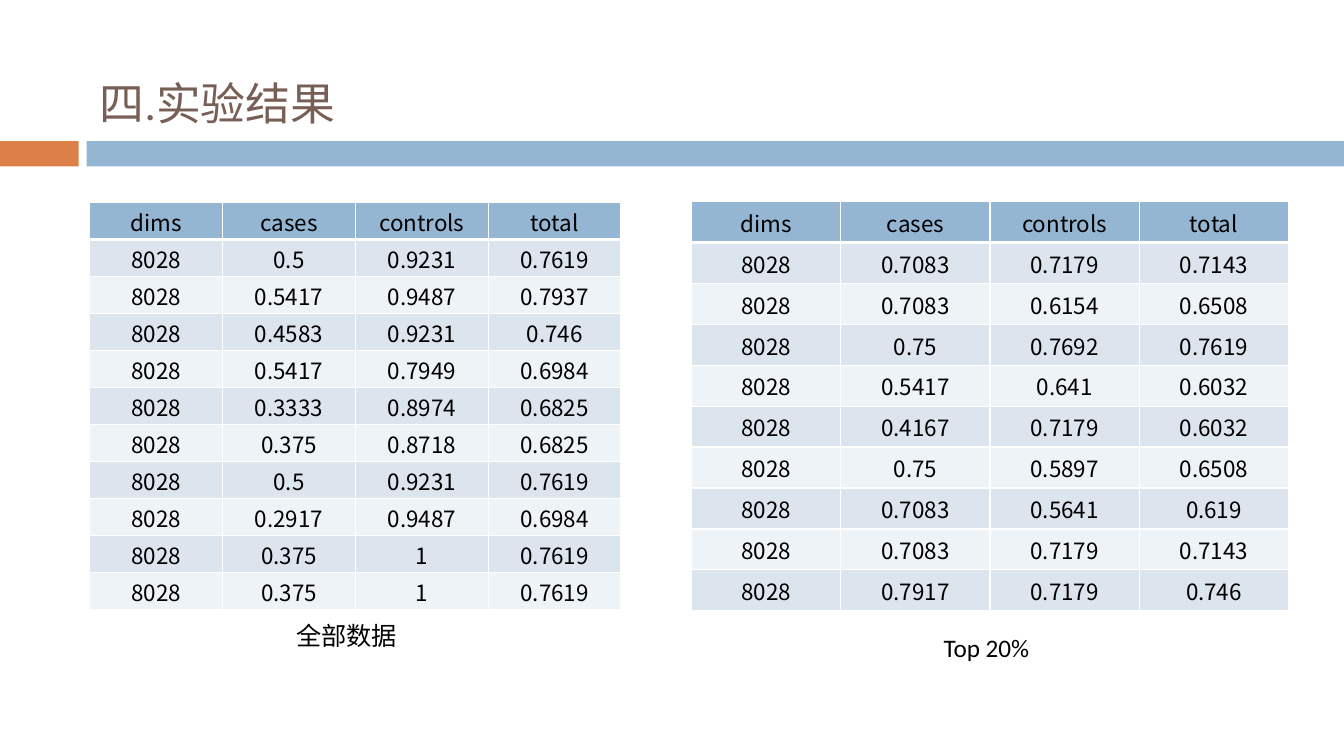
import dataclasses

import pptx
import pptx.dml.color
import pptx.enum.shapes
import pptx.enum.text
import pptx.oxml.ns
import pptx.util
from lxml import etree

Inches = pptx.util.Inches
Pt = pptx.util.Pt


@dataclasses.dataclass(frozen=True)
class Theme:
    """Colours, fonts and type sizes of the slide."""
    orange: str = "DD8047"
    blue: str = "94B6D2"
    brown: str = "775F55"
    black: str = "000000"
    white: str = "FFFFFF"
    bands: tuple = ("DCE5EE", "EEF3F7")
    latin: str = "Calibri"
    cjk: str = "Noto Sans CJK SC"
    title_size: int = 32
    caption_size: int = 18
    cell_size: int = 16


THEME = Theme()
TITLE = "四.实验结果"
HEADER = ("dims", "cases", "controls", "total")
DIMS = "8028"
BARS = [(0, 0.78, THEME.orange), (0.86, 12.47, THEME.blue)]
RESULTS = [
    {
        "caption": "Top 20%",
        "caption_box": (9.26, 6.22, 1.13, 0.4),
        "table_box": (6.86, 2, 5.92, 4.06),
        "scores": [
            ("0.7083", "0.7179", "0.7143"),
            ("0.7083", "0.6154", "0.6508"),
            ("0.75", "0.7692", "0.7619"),
            ("0.5417", "0.641", "0.6032"),
            ("0.4167", "0.7179", "0.6032"),
            ("0.75", "0.5897", "0.6508"),
            ("0.7083", "0.5641", "0.619"),
            ("0.7083", "0.7179", "0.7143"),
            ("0.7917", "0.7179", "0.746"),
        ],
    },
    {
        "caption": "全部数据",
        "caption_box": (2.84, 6.1, 1.38, 0.4),
        "table_box": (0.89, 2.01, 5.27, 4.04),
        "scores": [
            ("0.5", "0.9231", "0.7619"),
            ("0.5417", "0.9487", "0.7937"),
            ("0.4583", "0.9231", "0.746"),
            ("0.5417", "0.7949", "0.6984"),
            ("0.3333", "0.8974", "0.6825"),
            ("0.375", "0.8718", "0.6825"),
            ("0.5", "0.9231", "0.7619"),
            ("0.2917", "0.9487", "0.6984"),
            ("0.375", "1", "0.7619"),
            ("0.375", "1", "0.7619"),
        ],
    },
]


def rgb(color):
    """Turn a hex string into a colour."""
    return pptx.dml.color.RGBColor.from_string(color)


def write(frame, text, size, color, face, align):
    """Put one formatted paragraph into a text frame."""
    frame.text = text
    paragraph = frame.paragraphs[0]
    paragraph.alignment = align
    font = paragraph.font
    font.size, font.name, font.bold = Pt(size), face, False
    font.color.rgb = rgb(color)
    properties = paragraph._p.pPr.find(pptx.oxml.ns.qn("a:defRPr"))
    east_asian = etree.Element(pptx.oxml.ns.qn("a:ea"), typeface=THEME.cjk)
    properties.find(pptx.oxml.ns.qn("a:latin")).addnext(east_asian)


def add_bar(slide, left, width, color):
    """Draw one part of the strip under the title."""
    bar = slide.shapes.add_shape(
        pptx.enum.shapes.MSO_SHAPE.RECTANGLE,
        Inches(left), Inches(1.4), Inches(width), Inches(0.25))
    bar.shadow.inherit = False
    bar.fill.solid()
    bar.fill.fore_color.rgb = rgb(color)
    bar.line.fill.background()


def add_title(slide):
    """Place and format the title placeholder."""
    title = slide.shapes.title
    title.left, title.top = Inches(0.89), Inches(0.25)
    title.width, title.height = Inches(11.89), Inches(1.08)
    frame = title.text_frame
    frame.auto_size = pptx.enum.text.MSO_AUTO_SIZE.NONE
    frame.vertical_anchor = pptx.enum.text.MSO_ANCHOR.BOTTOM
    write(frame, TITLE, THEME.title_size, THEME.brown, THEME.latin,
          pptx.enum.text.PP_ALIGN.LEFT)


def set_borders(cell, top, bottom):
    """Give a cell white borders, sides one point wide."""
    properties = cell._tc.get_or_add_tcPr()
    for side, width in (("L", 1), ("R", 1), ("T", top), ("B", bottom)):
        line = etree.SubElement(properties, pptx.oxml.ns.qn(f"a:ln{side}"),
                                w=str(Pt(width)))
        fill = etree.SubElement(line, pptx.oxml.ns.qn("a:solidFill"))
        etree.SubElement(fill, pptx.oxml.ns.qn("a:srgbClr"), val=THEME.white)


def format_cell(cell, text, row):
    """Fill, border and write one table cell."""
    set_borders(cell, 3 if row == 1 else 1, 3 if row == 0 else 1)
    cell.fill.solid()
    fill = THEME.bands[(row - 1) % 2] if row else THEME.blue
    cell.fill.fore_color.rgb = rgb(fill)
    cell.margin_left = cell.margin_right = cell.margin_top = Inches(0.01)
    cell.margin_bottom = 0
    cell.vertical_anchor = pptx.enum.text.MSO_ANCHOR.MIDDLE
    write(cell.text_frame, text, THEME.cell_size, THEME.black, THEME.cjk,
          pptx.enum.text.PP_ALIGN.CENTER)


def add_scores(slide, scores, box):
    """Build one table of scores with equal rows and columns."""
    rows = [HEADER] + [(DIMS, *score) for score in scores]
    left, top, width, height = map(Inches, box)
    table = slide.shapes.add_table(
        len(rows), len(HEADER), left, top, width, height).table
    table.first_row = table.horz_banding = False
    for row, texts in enumerate(rows):
        for column, text in enumerate(texts):
            format_cell(table.cell(row, column), text, row)


def add_caption(slide, caption, box):
    """Write the caption below a table."""
    frame = slide.shapes.add_textbox(*map(Inches, box)).text_frame
    frame.word_wrap = True
    write(frame, caption, THEME.caption_size, THEME.black, THEME.latin,
          pptx.enum.text.PP_ALIGN.LEFT)


def main():
    """Build and save the slide."""
    deck = pptx.Presentation()
    deck.slide_width, deck.slide_height = Inches(13.33), Inches(7.5)
    slide = deck.slides.add_slide(deck.slide_layouts.get_by_name("Title Only"))
    for bar in BARS:
        add_bar(slide, *bar)
    add_title(slide)
    for result in RESULTS:
        add_scores(slide, result["scores"], result["table_box"])
        add_caption(slide, result["caption"], result["caption_box"])
    deck.save("out.pptx")


main()
